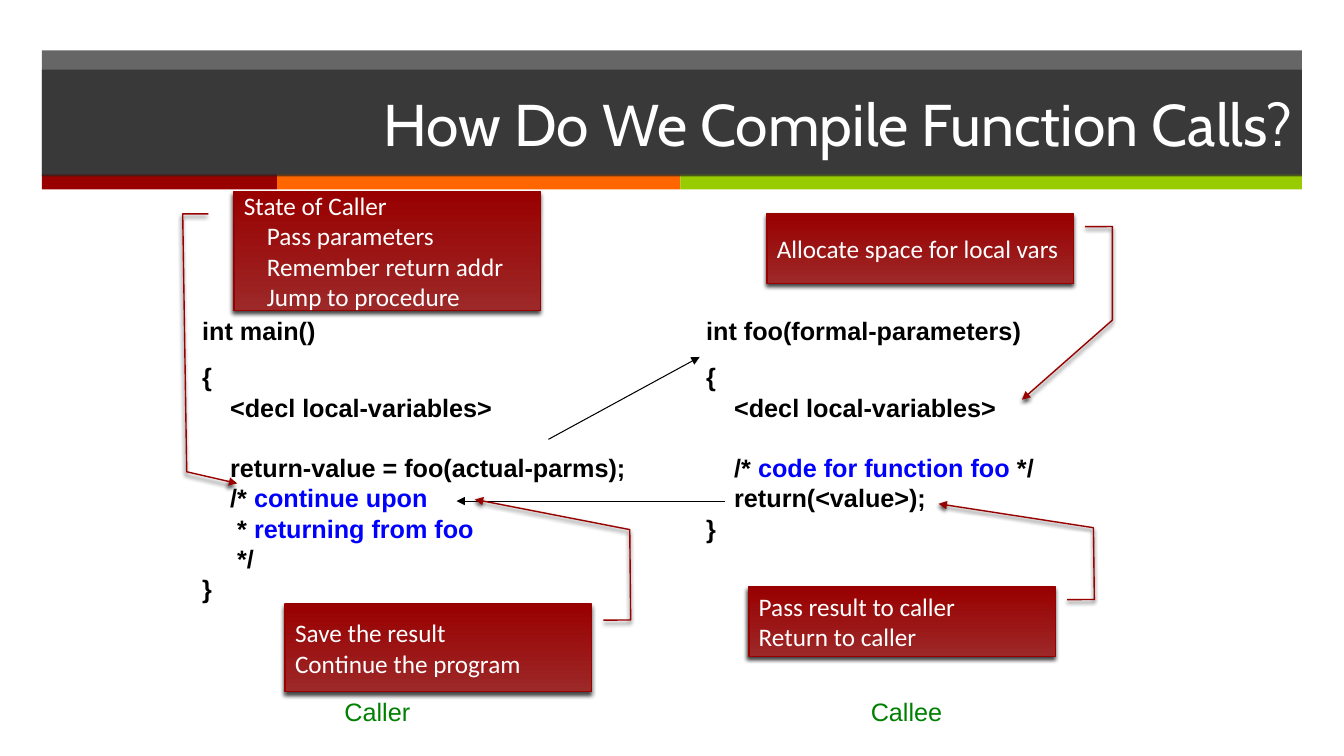
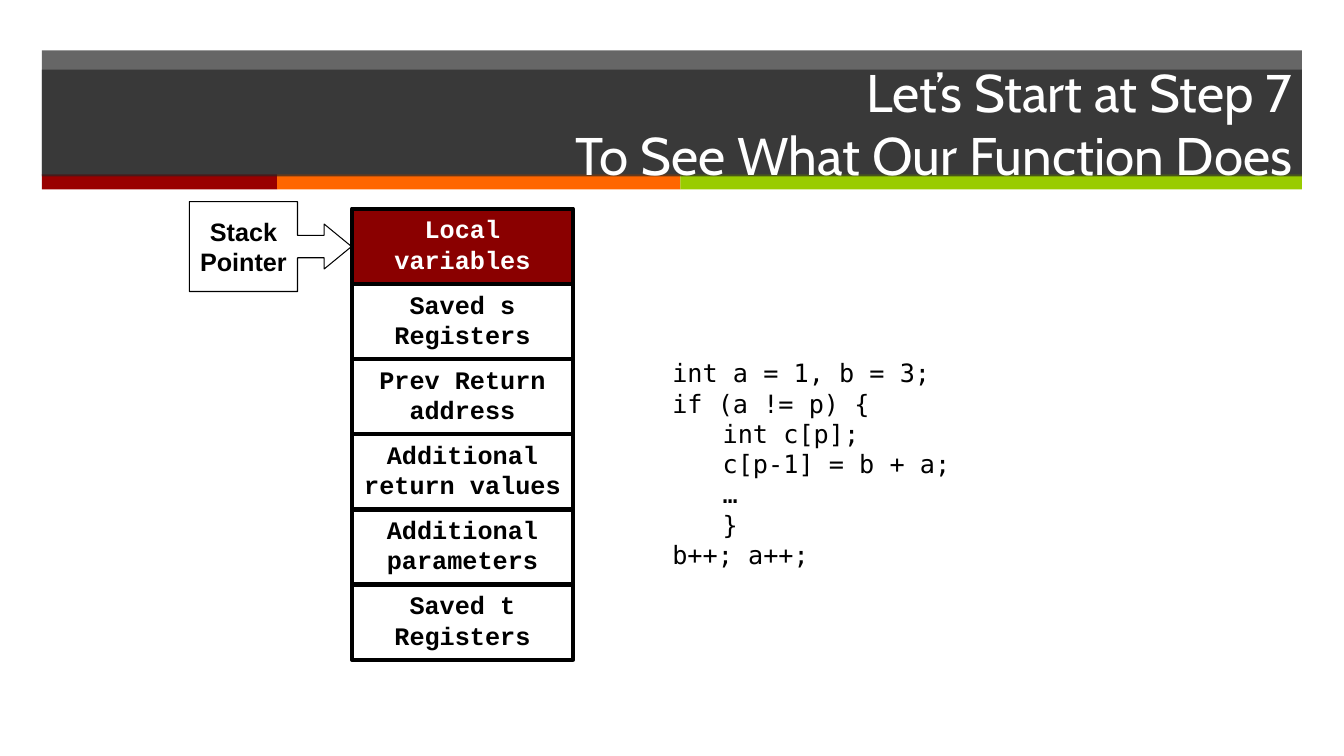
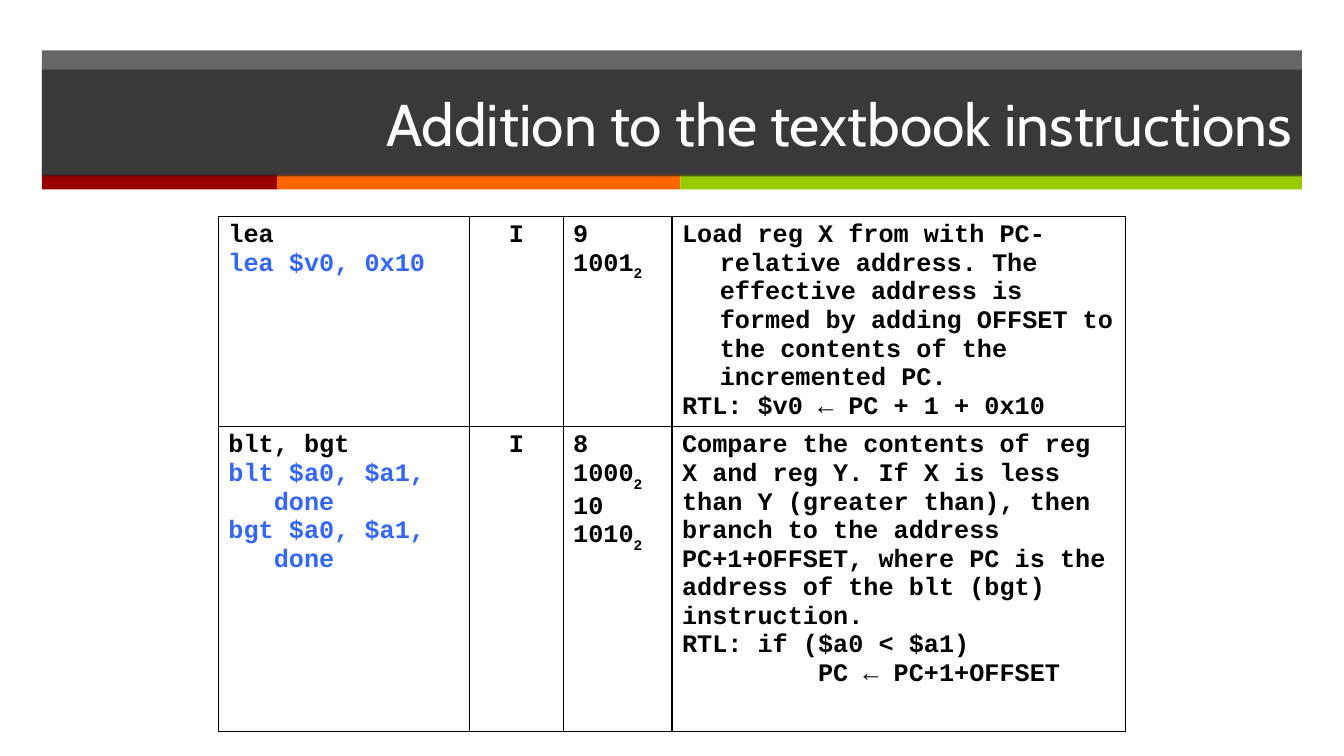
from dataclasses import dataclass, replace
from typing import NamedTuple, Optional

from pptx import Presentation
from pptx.dml.color import RGBColor
from pptx.enum.shapes import MSO_CONNECTOR, MSO_SHAPE
from pptx.enum.text import MSO_ANCHOR, PP_ALIGN
from pptx.oxml.ns import qn
from pptx.util import Emu, Pt
from lxml import etree

LEFT, CENTER, RIGHT = PP_ALIGN.LEFT, PP_ALIGN.CENTER, PP_ALIGN.RIGHT
TOP, MIDDLE = MSO_ANCHOR.TOP, MSO_ANCHOR.MIDDLE
RECTANGLE, POINTER = MSO_SHAPE.RECTANGLE, MSO_SHAPE.RIGHT_ARROW_CALLOUT
CALLOUT, STRAIGHT = MSO_SHAPE.LINE_CALLOUT_3, MSO_CONNECTOR.STRAIGHT

# The slide is a grid of 32 columns and 18 rows of square cells
SLIDE_WIDTH, SLIDE_HEIGHT = Emu(12192000), Emu(6858000)
CELL = SLIDE_WIDTH // 32


@dataclass(frozen=True)
class Theme:
    black: str = "000000"
    white: str = "FFFFFF"
    band: str = "262626"
    band_alpha: int = 70
    stripes: tuple = (("990000", 5.6), ("FF6600", 9.6), ("99CC00", 14.8))
    callout_light: str = "9D2828"
    callout_dark: str = "990000"
    highlight: str = "8A0000"
    comment: str = "0000FF"
    example: str = "3366FF"
    caption: str = "008000"
    title_size: float = 42
    long_title_size: float = 37.8
    body_size: float = 18
    line_pitch: float = 21.6


THEME = Theme()


class Box(NamedTuple):
    col: float
    row: float
    cols: float
    rows: float


class Run(NamedTuple):
    text: str
    color: Optional[str] = None
    subscript: bool = False


@dataclass(frozen=True)
class Para:
    runs: tuple
    before: float = 0
    margin: float = 0
    indent: float = 0


@dataclass(frozen=True)
class TextStyle:
    font: str
    color: str = THEME.black
    size: float = THEME.body_size
    bold: bool = False
    align: PP_ALIGN = LEFT
    anchor: MSO_ANCHOR = TOP
    pitch: Optional[float] = THEME.line_pitch
    wrap: bool = True


TITLE = TextStyle("Cabin", THEME.white, THEME.title_size, align=RIGHT, anchor=MIDDLE, pitch=None)
CODE = TextStyle("Arial", bold=True)
CALLOUT_TEXT = TextStyle("Calibri", THEME.white, anchor=MIDDLE)
CAPTION = TextStyle("Arial", THEME.caption, align=CENTER)
POINTER_TEXT = TextStyle("Arial", bold=True, align=CENTER, anchor=MIDDLE, wrap=False)
STACK_TEXT = TextStyle("Courier New", bold=True, align=CENTER)
LISTING = TextStyle("DejaVu Sans Mono")
CELL_TEXT = TextStyle("Courier New", bold=True, pitch=None)


@dataclass(frozen=True)
class Callout:
    box: Box
    adjustments: tuple
    text: tuple


# Helpers
def para(*runs, **layout) -> Para:
    return Para(tuple(Run(r) if isinstance(r, str) else r for r in runs), **layout)


def paras(*texts) -> tuple:
    return tuple(para(text) for text in texts)


def grid(*lengths: float) -> list:
    return [Emu(round(length * CELL)) for length in lengths]


def apply(target, values: dict) -> None:
    for name, value in values.items():
        setattr(target, name, value)


def rgb(color: str) -> RGBColor:
    return RGBColor.from_string(color)


def sub(parent, tag: str, **attributes):
    return etree.SubElement(parent, qn(tag), {k: str(v) for k, v in attributes.items()})


def write(frame, content: tuple, style: TextStyle) -> None:
    for index, item in enumerate(content):
        paragraph = frame.paragraphs[0] if index == 0 else frame.add_paragraph()
        apply(paragraph, {"alignment": style.align, "space_before": Pt(item.before)})
        if style.pitch:
            paragraph.line_spacing = Pt(style.pitch)
        if item.margin:
            margin, indent = grid(item.margin, item.indent)
            properties = paragraph._p.get_or_add_pPr()
            properties.set("marL", str(margin))
            properties.set("indent", str(indent))
        for part in item.runs:
            for number, text in enumerate(part.text.split("\n")):
                if number:
                    paragraph.add_line_break()
                run = paragraph.add_run()
                run.text = text
                apply(run.font, {"name": style.font, "size": Pt(style.size), "bold": style.bold})
                run.font.color.rgb = rgb(part.color or style.color)
                if part.subscript:
                    run._r.get_or_add_rPr().set("baseline", "-30000")


def write_box(shape, content: tuple, style: TextStyle) -> None:
    apply(shape.text_frame, {"word_wrap": style.wrap, "vertical_anchor": style.anchor})
    write(shape.text_frame, content, style)


def add_text(slide, box: Box, content: tuple, style: TextStyle) -> None:
    write_box(slide.shapes.add_textbox(*grid(*box)), content, style)


def add_shape(slide, kind, box: Box, fill: Optional[str] = None, alpha: int = 100,
              line: Optional[str] = None, width: float = 1, adjustments: tuple = ()):
    shape = slide.shapes.add_shape(kind, *grid(*box))
    shape.shadow.inherit = False
    for index, value in enumerate(adjustments):
        shape.adjustments[index] = value
    if fill:
        shape.fill.solid()
        shape.fill.fore_color.rgb = rgb(fill)
        if alpha < 100:
            sub(shape._element.spPr.find(".//" + qn("a:srgbClr")), "a:alpha", val=alpha * 1000)
    else:
        shape.fill.background()
    if line:
        shape.line.color.rgb = rgb(line)
        shape.line.width = Pt(width)
    else:
        shape.line.fill.background()
    return shape


def add_arrowhead(line) -> None:
    sub(line._get_or_add_ln(), "a:tailEnd", type="triangle")


def add_arrow(slide, start: tuple, end: tuple) -> None:
    arrow = slide.shapes.add_connector(STRAIGHT, *grid(*start, *end))
    arrow.line.color.rgb = rgb(THEME.black)
    arrow.line.width = Pt(0.75)
    add_arrowhead(arrow.line)
    sub(arrow._element.spPr, "a:effectLst")


def add_callout(slide, callout: Callout) -> None:
    shape = add_shape(slide, CALLOUT, callout.box, line=THEME.callout_dark,
                      adjustments=callout.adjustments)
    shape.fill.gradient()
    shape.fill.gradient_angle = 90
    for stop, color in zip(shape.fill.gradient_stops, (THEME.callout_light, THEME.callout_dark)):
        stop.color.rgb = rgb(color)
    add_arrowhead(shape.line)
    effects = shape._element.spPr.find(qn("a:effectLst"))
    shadow = sub(effects, "a:outerShdw", blurRad=Pt(3), dist=Pt(2), dir=110 * 60000, rotWithShape=0)
    sub(sub(shadow, "a:srgbClr", val=THEME.black), "a:alpha", val=75000)
    write_box(shape, callout.text, CALLOUT_TEXT)


def add_slide(deck, title: str, size: float = THEME.title_size):
    slide = deck.slides.add_slide(deck.slide_layouts[6])
    add_shape(slide, RECTANGLE, Box(1, 1.2, 30, 2.98), THEME.band, THEME.band_alpha)
    col = 1
    for color, cols in THEME.stripes:
        add_shape(slide, RECTANGLE, Box(col, 4.15, cols, 0.36), color)
        col += cols
    heading = add_shape(slide, RECTANGLE, Box(1, 1.66, 30, 2.54), THEME.band, THEME.band_alpha)
    write_box(heading, paras(title), replace(TITLE, size=size))
    return slide


# Slide 1: caller and callee
BLANK_LINE, BRACE_GAP = THEME.line_pitch, 11.5
CALLER_CODE = (
    para("int main()"),
    para("{", before=BRACE_GAP),
    para("    <decl local-variables>"),
    para("    return-value = foo(actual-parms);", before=BLANK_LINE),
    para("    /* ", Run("continue upon", THEME.comment)),
    para("     * ", Run("returning from foo", THEME.comment)),
    para("     */"),
    para("}"),
)
CALLEE_CODE = (
    para("int foo(formal-parameters)"),
    para("{", before=BRACE_GAP),
    para("    <decl local-variables>"),
    para("    /* ", Run("code for function foo ", THEME.comment), "*/", before=BLANK_LINE),
    para("    return(<value>);"),
    para("}"),
)
RETURN_LEADER = (0.185, 1.038, 0.183, 1.127, -0.847, 1.124, -1.19, 0.619)
CALLOUTS = (
    Callout(Box(5.57, 4.56, 7.3, 2.83),
            (0.188, -0.083, 0.188, -0.167, 2.358, -0.154, 2.456, 0.011),
            (para("State of Caller"),
             *(para(step, margin=0.55) for step in
               ("Pass parameters", "Remember return addr", "Jump to procedure")))),
    Callout(Box(18.26, 5.09, 7.3, 1.66),
            (0.185, 1.038, 0.183, 1.127, 1.525, 1.127, 2.667, 0.832),
            paras("Allocate space for local vars")),
    Callout(Box(17.83, 13.97, 7.3, 1.66), RETURN_LEADER,
            paras("Pass result to caller", "Return to caller")),
    Callout(Box(6.79, 14.38, 7.3, 2.09), RETURN_LEADER,
            paras("Save the result", "Continue the program")),
)


def build_calls(deck) -> None:
    slide = add_slide(deck, "How Do We Compile Function Calls?")
    add_arrow(slide, (13.06, 10.46), (16.66, 8.5))
    add_arrow(slide, (17.26, 11.93), (10.87, 11.93))
    for col, code in ((4.58, CALLER_CODE), (16.58, CALLEE_CODE)):
        add_text(slide, Box(col, 7.39, 11.8, 7.1), code, CODE)
    for callout in CALLOUTS:
        add_callout(slide, callout)
    for col, role in ((6.02, "Caller"), (18.62, "Callee")):
        add_text(slide, Box(col, 16.46, 5.93, 0.96), paras(role), CAPTION)


# Slide 2: stack frame
STACK_ROWS = ("Local variables", "Saved s Registers", "Prev Return address",
              "Additional return values", "Additional parameters", "Saved t Registers")
STACK_PITCH = 1.79
FUNCTION_BODY = paras("int a = 1, b = 3;", "if (a != p) {", "\tint c[p];",
                      "\tc[p-1] = b + a;", "\t…", "\t}", "b++; a++;")


def build_stack(deck) -> None:
    slide = add_slide(deck, "Let’s Start at Step 7\nTo See What Our Function Does",
                      THEME.long_title_size)
    pointer = add_shape(slide, POINTER, Box(4.51, 4.8, 3.86, 2.14), line=THEME.black,
                        width=0.75, adjustments=(0.25, 0.25, 0.304, 0.667))
    write_box(pointer, paras("Stack", "Pointer"), POINTER_TEXT)
    for index, label in enumerate(STACK_ROWS):
        is_top = index == 0
        entry = add_shape(slide, RECTANGLE, Box(8.38, 4.97 + index * STACK_PITCH, 5.26, STACK_PITCH),
                          THEME.highlight if is_top else None, line=THEME.black, width=3)
        color = THEME.white if is_top else THEME.black
        write_box(entry, paras(label), replace(STACK_TEXT, color=color))
    add_text(slide, Box(15.77, 8.4, 10.75, 5.33), FUNCTION_BODY, LISTING)


# Slide 3: instruction table
COLUMN_WIDTHS = (5.98, 2.23, 2.59, 10.8)
ROW_HEIGHTS = (4.66, 7.25)
BASE_TWO = Run("2", subscript=True)
HANGING = {"margin": 0.9, "indent": -0.9}
INSTRUCTIONS = (
    (
        (para("lea"), para(Run("lea $v0, 0x10", THEME.example))),
        paras("I"),
        (para("9"), para("1001", BASE_TWO)),
        (para("Load reg X from with PC-relative address. The effective address is formed by "
              "adding OFFSET to the contents of the incremented PC.", **HANGING),
         para("RTL: $v0 ← PC + 1 + 0x10", **HANGING)),
    ),
    (
        (para("blt, bgt"),
         *(para(Run(f"{name} $a0, $a1,\n   done", THEME.example)) for name in ("blt", "bgt"))),
        paras("I"),
        (para("8"), para("1000", BASE_TWO), para("10"), para("1010", BASE_TWO)),
        paras("Compare the contents of reg X and reg Y. If X is less than Y (greater than), "
              "then branch to the address PC+1+OFFSET, where PC is the address of the "
              "blt (bgt) instruction.",
              "RTL: if ($a0 < $a1)",
              "         PC ← PC+1+OFFSET"),
    ),
)


def add_borders(cell) -> None:
    properties = cell._tc.get_or_add_tcPr()
    for index, side in enumerate(("a:lnL", "a:lnR", "a:lnT", "a:lnB")):
        border = sub(properties, side, w=Pt(1))
        sub(sub(border, "a:solidFill"), "a:srgbClr", val=THEME.black)
        properties.insert(index, border)


def build_instructions(deck) -> None:
    slide = add_slide(deck, "Addition to the textbook instructions")
    box = Box(5.2, 5.16, sum(COLUMN_WIDTHS), sum(ROW_HEIGHTS))
    table = slide.shapes.add_table(len(ROW_HEIGHTS), len(COLUMN_WIDTHS), *grid(*box)).table
    apply(table, {"first_row": False, "horz_banding": False})
    for column, width in zip(table.columns, grid(*COLUMN_WIDTHS)):
        column.width = width
    for row, height, contents in zip(table.rows, grid(*ROW_HEIGHTS), INSTRUCTIONS):
        row.height = height
        for index, (cell, content) in enumerate(zip(row.cells, contents)):
            cell.fill.background()
            add_borders(cell)
            write(cell.text_frame, content, replace(CELL_TEXT, align=CENTER if index == 1 else LEFT))


def main() -> None:
    deck = Presentation()
    apply(deck, {"slide_width": SLIDE_WIDTH, "slide_height": SLIDE_HEIGHT})
    for build in (build_calls, build_stack, build_instructions):
        build(deck)
    deck.save("out.pptx")


if __name__ == "__main__":
    main()
